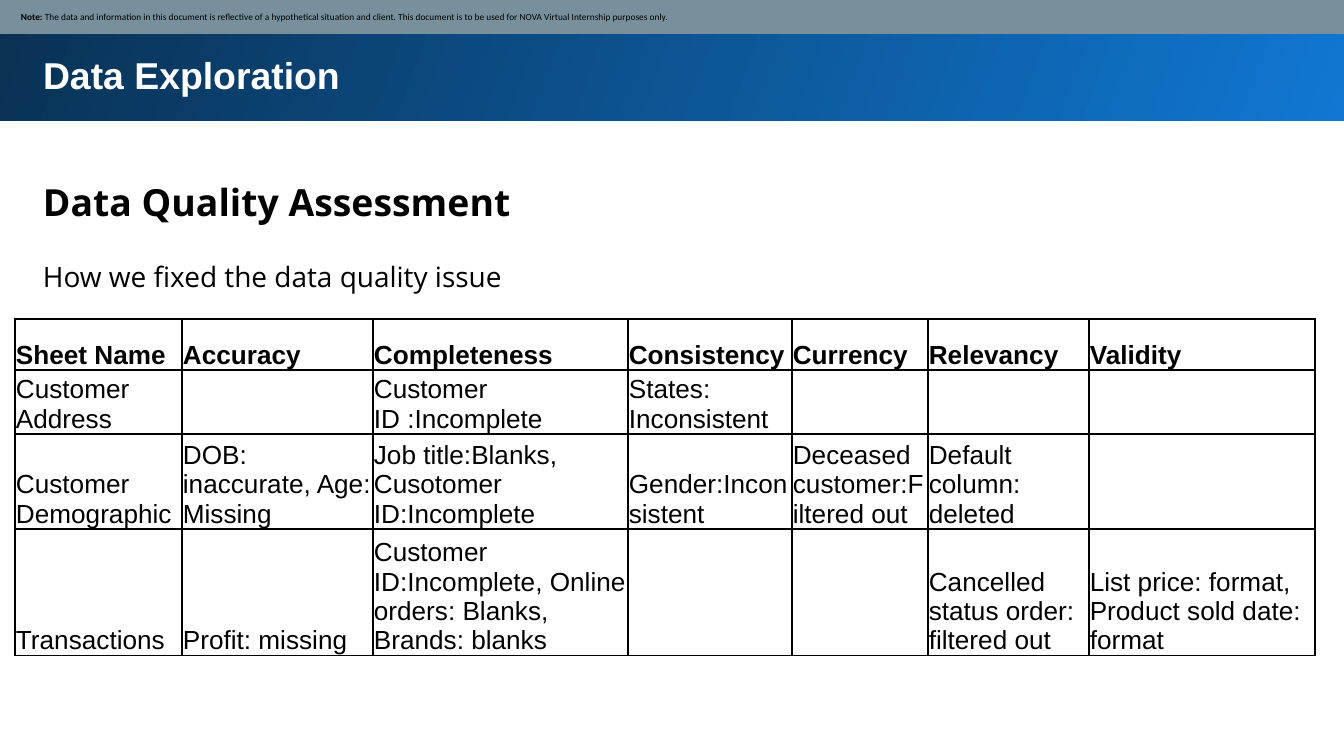
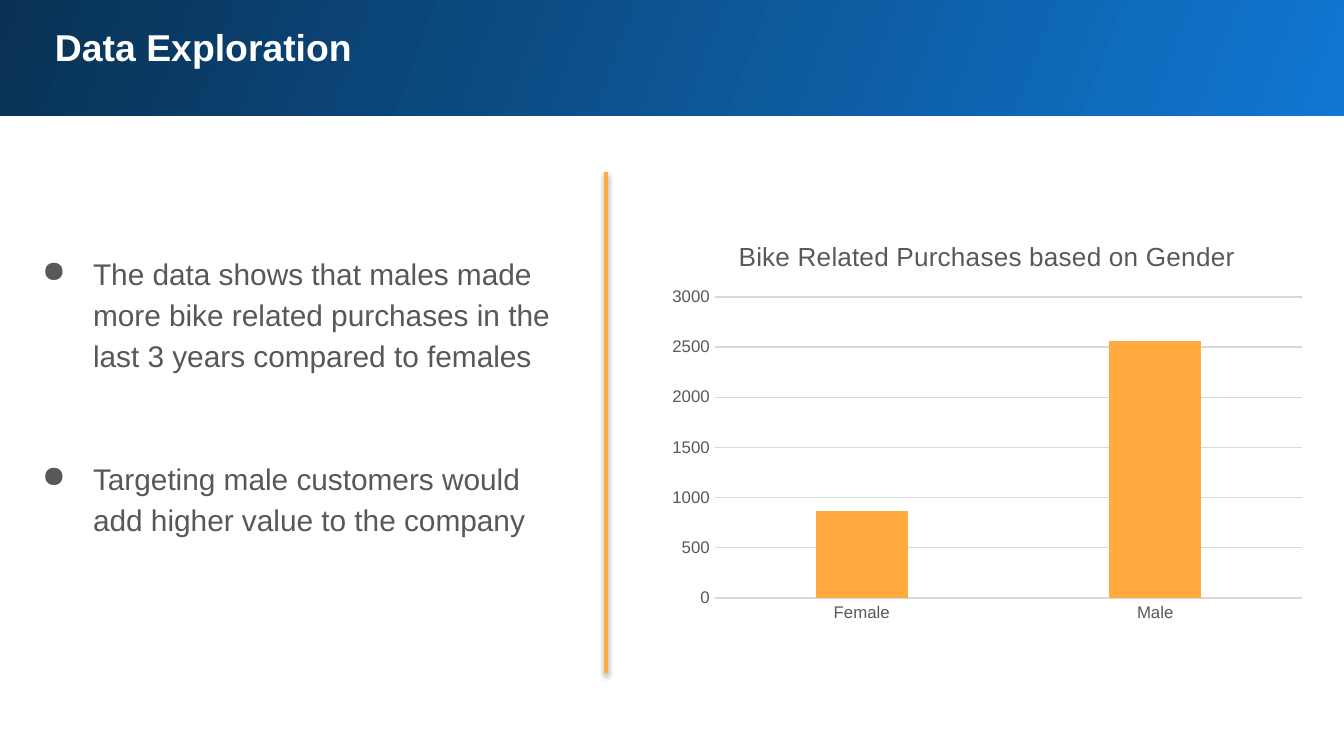
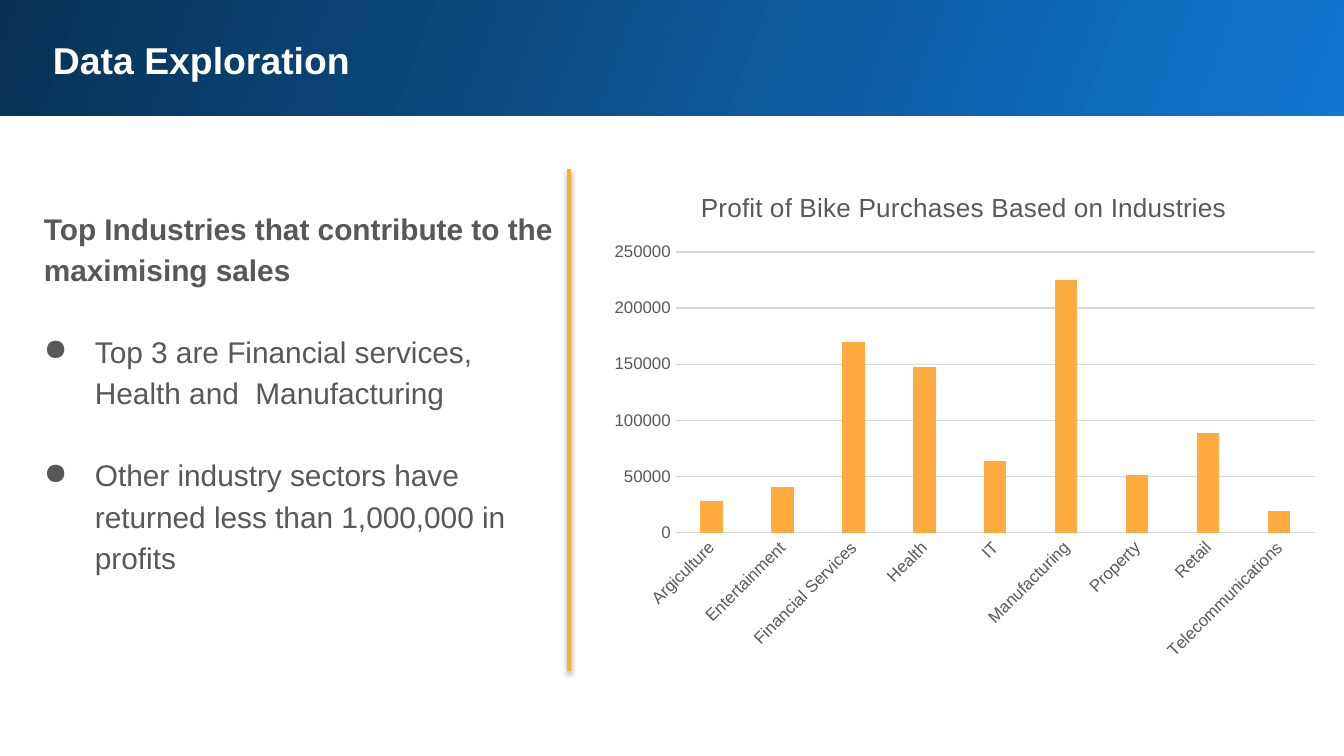
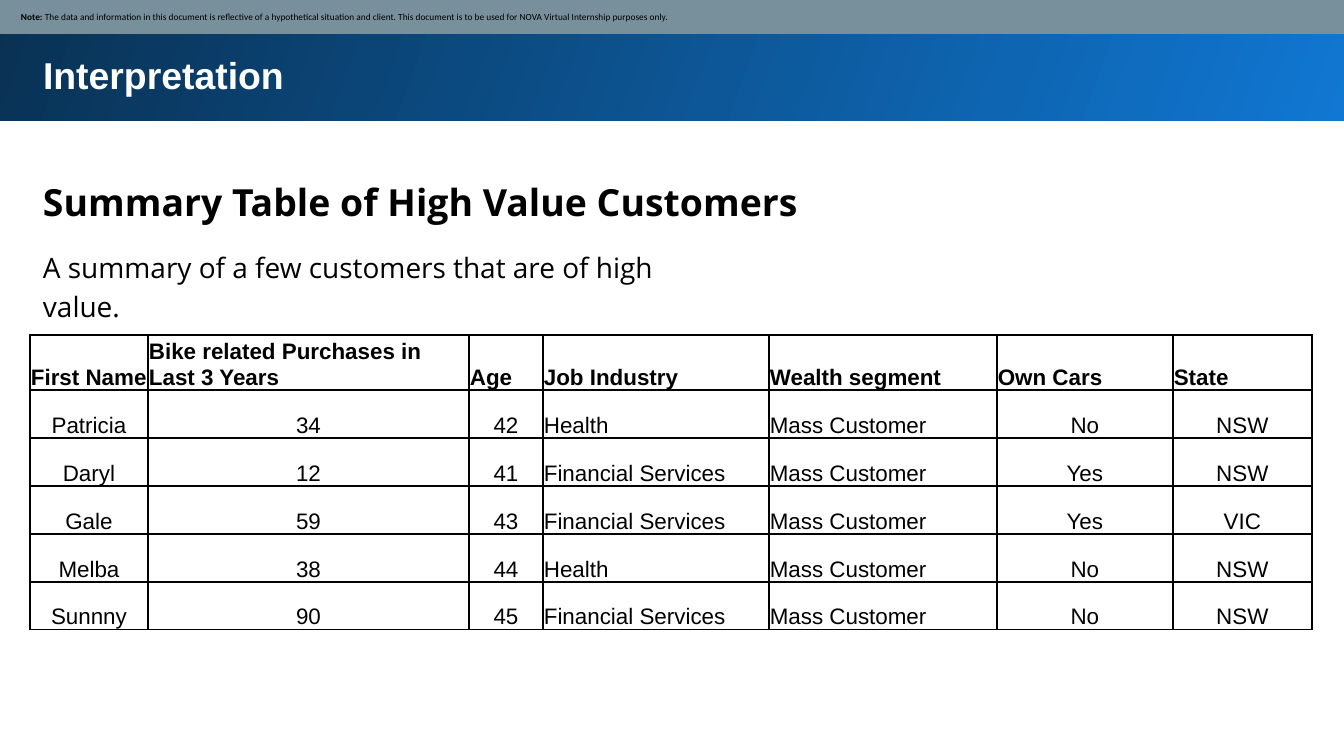
from pptx import Presentation
from pptx.chart.data import CategoryChartData
from pptx.dml.color import RGBColor
from pptx.enum.chart import XL_CHART_TYPE as Kind, XL_TICK_MARK as Tick
from pptx.enum.shapes import MSO_CONNECTOR as Conn, MSO_SHAPE as Form
from pptx.enum.text import MSO_ANCHOR as Anchor, MSO_AUTO_SIZE as Fit, PP_ALIGN as Align
from pptx.oxml import parse_xml
from pptx.oxml.ns import nsdecls, qn
from pptx.util import Emu, Pt

# ---- content ----
NOTE = [("Note: ", True),
        ("The data and information in this document is reflective of a hypothetical "
         "situation and client. This document is to be used for NOVA Virtual "
         "Internship purposes only.", False)]

ISSUES = [
    ["Sheet Name", "Accuracy", "Completeness", "Consistency", "Currency",
     "Relevancy", "Validity"],
    ["Customer Address", "", "Customer ID :Incomplete", "States: Inconsistent",
     "", "", ""],
    ["Customer Demographic", "DOB: inaccurate, Age: Missing",
     "Job title:Blanks, Cusotomer ID:Incomplete", "Gender:Inconsistent",
     "Deceased customer:Filtered out", "Default column: deleted", ""],
    ["Transactions", "Profit: missing",
     "Customer ID:Incomplete, Online orders: Blanks, Brands: blanks", "", "",
     "Cancelled status order: filtered out",
     "List price: format, Product sold date: format"],
]
BUYERS = [
    ["First Name", "Bike related Purchases in Last 3 Years", "Age", "Job Industry",
     "Wealth segment", "Own Cars", "State"],
    ["Patricia", "34", "42", "Health", "Mass Customer", "No", "NSW"],
    ["Daryl", "12", "41", "Financial Services", "Mass Customer", "Yes", "NSW"],
    ["Gale", "59", "43", "Financial Services", "Mass Customer", "Yes", "VIC"],
    ["Melba", "38", "44", "Health", "Mass Customer", "No", "NSW"],
    ["Sunnny", "90", "45", "Financial Services", "Mass Customer", "No", "NSW"],
]
GENDER = {"Female": 870, "Male": 2560}
TRADES = {"Argiculture": 28000, "Entertainment": 41000, "Financial Services": 170000,
          "Health": 148000, "IT": 64000, "Manufacturing": 225000, "Property": 51000,
          "Retail": 89000, "Telecommunications": 19000}

SLIDES = [
    dict(title="Data Exploration", place=(30, 39, 1259, 69),
         head="Data Quality Assessment", sub="How we fixed the data quality issue",
         low=(30, 242, 607, 65),
         table=dict(rows=ISSUES, at=(15, 319), tall=336, step=51, size=14,
                    cols=[167, 191, 255, 164, 136, 161, 226], mid=())),
    dict(title="Data Exploration", place=(48, 17, 641, 59), body=(13, 237, 577, 503),
         points=[("The data shows that males made more bike related purchases in the "
                  "last 3 years compared to females", True, 0),
                 ("Targeting male customers would add higher value to the company",
                  True, 44)],
         rule=(606, 172, 673),
         chart=dict(title="Bike Related Purchases based on Gender", data=GENDER,
                    at=(659, 219, 656, 413), plot=(715, 297, 587, 301),
                    top=3000, step=500)),
    dict(title="Data Exploration", place=(46, 30, 703, 59), body=(15, 192, 554, 503),
         points=[("Top Industries that contribute to the maximising sales", False, 0),
                 ("Top 3 are Financial services, Health and  Manufacturing", True, 22),
                 ("Other industry sectors have returned less than 1,000,000 in profits",
                  True, 22)],
         rule=(569, 169, 671),
         chart=dict(title="Profit of Bike Purchases Based on Industries", data=TRADES,
                    at=(599, 169, 730, 503), plot=(676, 252, 639, 281),
                    top=250000, step=50000, tilt=-45)),
    dict(title="Interpretation", place=(30, 39, 1259, 112),
         head="Summary Table of High Value Customers",
         sub="A summary of a few customers that are of high value.",
         low=(30, 233, 668, 65),
         table=dict(rows=BUYERS, at=(30, 335), tall=293, step=48, size=12,
                    cols=[118, 321, 74, 226, 228, 176, 139], mid=(0, 1, 2, 5, 6))),
]

# ---- shared look ----
WIDE, HIGH = 1344, 756
BLACK, WHITE, SLATE = "000000", "FFFFFF", "78909C"
SKY, NAVY, AMBER = "1077D2", "093153", "FFAB40"
TEXT, AXIS, GRID = "585858", "595959", "D9D9D9"


def px(num):
    """Turn picture pixels into EMU."""
    return Emu(round(num * 914400 / 134.4))


def box(*nums):
    """Turn a run of pixel lengths into EMU."""
    return [px(num) for num in nums]


def rgb(code):
    """Give the colour for a hex string."""
    return RGBColor.from_string(code)


def style(font, size, color, bold=False, face="Arial"):
    """Set the look of a font."""
    font.size, font.bold, font.name = Pt(size), bold, face
    font.color.rgb = rgb(color)


def write(frame, text, more=False, size=16, color=BLACK, bold=False, face="Arial",
          align=Align.LEFT, line=None, gap=0, left=0, hang=0, dot=False):
    """Write one paragraph, from a string or from (text, bold) runs."""
    par = frame.add_paragraph() if more else frame.paragraphs[0]
    par.alignment = align
    par.space_before = Pt(gap)
    if line:
        par.line_spacing = line
    style(par.font, size, color, bold, face)
    for part, heavy in [(text, bold)] if isinstance(text, str) else text:
        run = par.add_run()
        run.text = part
        style(run.font, size, color, heavy, face)
    if left:
        prop = par._p.get_or_add_pPr()
        prop.set("marL", str(px(left)))
        prop.set("indent", str(px(hang)))
        if dot:
            tint = parse_xml(f'<a:buClr {nsdecls("a")}><a:srgbClr val="{color}"/></a:buClr>')
            mark = parse_xml(f'<a:buChar {nsdecls("a")} char="●"/>')
            spot = prop.find(qn("a:defRPr"))
            for node in (tint, mark):
                if spot is None:
                    prop.append(node)
                else:
                    spot.addprevious(node)


def setup(frame, inset, anchor=Anchor.TOP, fit=Fit.NONE):
    """Set wrap, insets, anchor and fit of a text frame."""
    frame.word_wrap, frame.auto_size, frame.vertical_anchor = True, fit, anchor
    frame.margin_left = frame.margin_right = px(inset)
    frame.margin_top = frame.margin_bottom = px(inset)
    return frame


def label(slide, at, fit=Fit.SHAPE_TO_FIT_TEXT):
    """Add a text box and give its frame."""
    return setup(slide.shapes.add_textbox(*box(*at)).text_frame, 13, fit=fit)


def block(slide, at):
    """Add a rectangle without line or shadow."""
    shape = slide.shapes.add_shape(Form.RECTANGLE, *box(*at))
    shape.shadow.inherit = False
    shape.line.fill.background()
    return shape


def banner(slide, at, text, place, inset):
    """Add the gradient band and the title on it."""
    fill = block(slide, at).fill
    fill.gradient()
    fill.gradient_angle = 160
    for stop, code in zip(fill.gradient_stops, (SKY, NAVY)):
        stop.color.rgb = rgb(code)
    title = slide.shapes.title
    title.left, title.top, title.width, title.height = box(*place)
    title.element.getparent().append(title.element)
    frame = setup(title.text_frame, inset, fit=Fit.SHAPE_TO_FIT_TEXT)
    write(frame, text, size=20, color=WHITE, bold=True)


def notice(slide):
    """Add the grey strip with the note at the top."""
    strip = block(slide, (-1, -1, 1348, 35))
    strip.fill.solid()
    strip.fill.fore_color.rgb = rgb(SLATE)
    frame = setup(strip.text_frame, 7, Anchor.MIDDLE)
    frame.margin_left = px(22)
    write(frame, NOTE, size=5, face="Calibri")


def grid(slide, rows, at, tall, step, size, cols, mid):
    """Add a ruled table; mid lists the centred columns."""
    shape = slide.shapes.add_table(len(rows), len(cols), *box(*at, sum(cols), tall))
    table = shape.table
    table.first_row = table.horz_banding = False
    for col, width in zip(table.columns, cols):
        col.width = px(width)
    for row in table.rows:
        row.height = px(step)
    shape.height = px(tall)
    for i, row in enumerate(rows):
        for j, text in enumerate(row):
            cell = table.cell(i, j)
            cell.fill.background()
            cell.vertical_anchor = Anchor.BOTTOM
            cell.margin_left = cell.margin_right = cell.margin_top = px(1)
            cell.margin_bottom = 0
            write(cell.text_frame, text, size=size, bold=i == 0,
                  align=Align.CENTER if i and j in mid else Align.LEFT)
    for prop in shape.element.iter(qn("a:tcPr")):
        for k, side in enumerate("LRTB"):
            prop.insert(k, parse_xml(
                f'<a:ln{side} {nsdecls("a")} w="{Pt(1)}"><a:solidFill>'
                f'<a:srgbClr val="{BLACK}"/></a:solidFill></a:ln{side}>'))


def bars(slide, title, data, at, plot, top, step, tilt=None):
    """Add a column chart whose plot area is fixed in pixels."""
    feed = CategoryChartData()
    feed.categories = list(data)
    feed.add_series("Series 1", list(data.values()))
    chart = slide.shapes.add_chart(Kind.COLUMN_CLUSTERED, *box(*at), feed).chart
    style(chart.font, 10, BLACK)
    chart.has_legend = False
    chart.has_title = True
    write(chart.chart_title.text_frame, title, size=14, color=AXIS, align=Align.CENTER)

    cols = chart.plots[0]
    cols.gap_width, cols.overlap, cols.vary_by_categories = 219, -27, False
    fill = cols.series[0].format.fill
    fill.solid()
    fill.fore_color.rgb = rgb(AMBER)

    cat, val = chart.category_axis, chart.value_axis
    for axis in (cat, val):
        axis.major_tick_mark = axis.minor_tick_mark = Tick.NONE
        style(axis.tick_labels.font, 9, AXIS)
    val.minimum_scale, val.maximum_scale, val.major_unit = 0, top, step
    val.has_major_gridlines = True
    val.format.line.fill.background()
    for line in (cat.format.line, val.major_gridlines.format.line):
        line.color.rgb, line.width = rgb(GRID), Pt(0.75)

    if tilt:
        turn = chart.element.find(
            "/".join([".//" + qn("c:catAx"), qn("c:txPr"), qn("a:bodyPr")]))
        turn.set("rot", str(tilt * 60000))
        turn.set("vert", "horz")
    area = chart.element.find(".//" + qn("c:plotArea"))
    for old in area.findall(qn("c:layout")):
        area.remove(old)
    x, y, w, h = at
    parts = zip("xywh", ((plot[0] - x) / w, (plot[1] - y) / h, plot[2] / w, plot[3] / h))
    sizes = "".join(f'<c:{key} val="{num:.4f}"/>' for key, num in parts)
    area.insert(0, parse_xml(
        f'<c:layout {nsdecls("c")}><c:manualLayout><c:layoutTarget val="inner"/>'
        f'<c:xMode val="edge"/><c:yMode val="edge"/>{sizes}</c:manualLayout></c:layout>'))


def divide(slide, x, top, end):
    """Add the amber upright line with its soft shadow."""
    line = slide.shapes.add_connector(Conn.STRAIGHT, *box(x, top, x, end))
    line.line.color.rgb, line.line.width = rgb(AMBER), Pt(2)
    line.element.spPr.append(parse_xml(
        f'<a:effectLst {nsdecls("a")}><a:outerShdw blurRad="{Pt(3)}" dist="{Pt(1.6)}" '
        f'dir="5400000" rotWithShape="0"><a:srgbClr val="{BLACK}">'
        '<a:alpha val="38000"/></a:srgbClr></a:outerShdw></a:effectLst>'))


def sheet(slide, item):
    """Fill a slide that shows a table."""
    banner(slide, (-3, -3, 1351, 124), item["title"], item["place"], 13)
    write(label(slide, (30, 159, 1259, 77)), item["head"], size=20, bold=True,
          face="Open Sans", line=1.15)
    write(label(slide, item["low"]), item["sub"], size=15, face="Open Sans", line=1.15)
    notice(slide)
    grid(slide, **item["table"])


def graph(slide, item):
    """Fill a slide that shows points beside a chart."""
    frame = label(slide, item["body"], Fit.NONE)
    for k, (text, dot, gap) in enumerate(item["points"]):
        write(frame, text, more=k > 0, color=TEXT, bold=not dot, line=1.15, gap=gap,
              left=67 if dot else 16, hang=-51 if dot else 0, dot=dot)
    banner(slide, (-4, -8, 1351, 124), item["title"], item["place"], 7)
    bars(slide, **item["chart"])
    divide(slide, *item["rule"])


deck = Presentation()
deck.slide_width, deck.slide_height = box(WIDE, HIGH)
for item in SLIDES:
    page = deck.slides.add_slide(deck.slide_layouts[5])
    (sheet if "table" in item else graph)(page, item)
deck.save("out.pptx")
